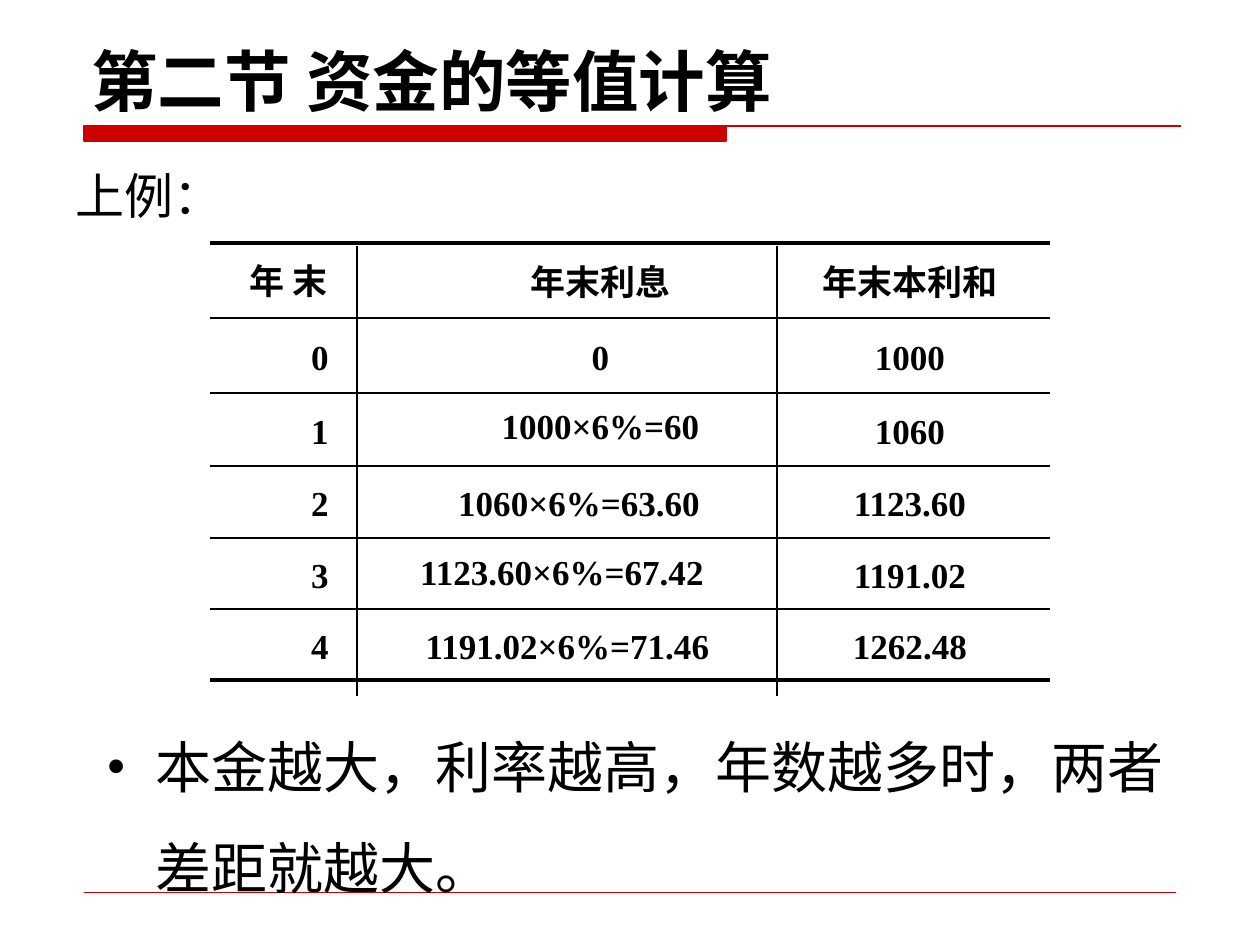
from lxml.etree import SubElement
from pptx import Presentation
from pptx.dml.color import RGBColor
from pptx.enum.shapes import MSO_CONNECTOR
from pptx.enum.text import MSO_ANCHOR, PP_ALIGN
from pptx.oxml.ns import qn
from pptx.util import Emu, Pt

RED = RGBColor(0xCC, 0x00, 0x00)
BLACK = RGBColor(0x00, 0x00, 0x00)
SANS = "Noto Sans CJK SC"
SERIF = "Times New Roman"
SCALE = 914400 / 126


def px(num):
    return Emu(round(num * SCALE))


class Page:
    """Holds the style and the current slide; lengths are in px."""

    def __init__(self, deck):
        self.slide = deck.slides.add_slide(deck.slide_layouts[6])
        self.shapes = self.slide.shapes

    def text(self, words, left, top, width, height, size, face=SANS, bold=False,
             align=PP_ALIGN.LEFT, anchor=MSO_ANCHOR.BOTTOM, bullet=None):
        box = self.shapes.add_textbox(px(left), px(top), px(width), px(height))
        frame = box.text_frame
        frame.word_wrap = True
        frame.vertical_anchor = anchor
        para = frame.paragraphs[0]
        para.text = words
        para.alignment = align
        if bullet:
            self.mark(para, bullet)
        font = para.font
        font.size = Pt(size)
        font.bold = bold
        font.color.rgb = BLACK
        font.name = face
        props = para._p.get_or_add_pPr().find(qn("a:defRPr"))
        SubElement(props, qn("a:ea")).set("typeface", SANS)

    def mark(self, para, sign):
        para.line_spacing = 1.5
        props = para._p.get_or_add_pPr()
        props.set("marL", str(px(48)))
        props.set("indent", str(-px(48)))
        SubElement(props, qn("a:buSzPct")).set("val", "90000")
        SubElement(props, qn("a:buFont")).set("typeface", "Arial")
        SubElement(props, qn("a:buChar")).set("char", sign)

    def cell(self, words, left, top, width, height):
        self.text(words, left, top, width, height, 20, SERIF, True,
                  PP_ALIGN.CENTER, MSO_ANCHOR.MIDDLE)

    def line(self, x1, y1, x2, y2, weight=1.0, color=BLACK):
        rule = self.shapes.add_connector(
            MSO_CONNECTOR.STRAIGHT, px(x1), px(y1), px(x2), px(y2))
        rule.line.color.rgb = color
        rule.line.width = Pt(weight)
        SubElement(rule._element.spPr, qn("a:effectLst"))

    def banner(self, left, top, right, thick, edge):
        pen = self.shapes.build_freeform(left, top, scale=SCALE)
        low = top + thick
        pen.add_line_segments([(edge, top), (edge, low), (left, low)], close=True)
        pen.move_to(left, top)
        pen.add_line_segments([(right, top)], close=False)
        shape = pen.convert_to_shape()
        shape.shadow.inherit = False
        shape.fill.solid()
        shape.fill.fore_color.rgb = RED
        shape.line.color.rgb = RED
        shape.line.width = Pt(0.75)


def main():
    deck = Presentation()
    deck.slide_width, deck.slide_height = px(1260), px(945)
    page = Page(deck)

    # Red rules of the theme
    page.banner(84, 126, 1181, 15, 726)
    page.line(84, 892, 1176, 892, 0.25, RED)

    # Title, lead and closing point
    page.text("第二节 资金的等值计算", 79, 0, 1103, 126, 38, bold=True)
    page.text("上例：", 63, 158, 180, 73, 28)
    page.text("本金越大，利率越高，年数越多时，两者差距就越大。",
              95, 693, 1087, 189, 32, anchor=MSO_ANCHOR.TOP, bullet="•")

    # Grid text: year, interest with its box (left, top shift, width), sum
    tops = [243, 318, 393, 466, 538, 609, 680]
    rows = [
        ("年 末", "年末利息", 431, 0, 339, "年末本利和"),
        ("0", "0", 431, 0, 339, "1000"),
        ("1", "1000×6%=60", 431, -5, 339, "1060"),
        ("2", "1060×6%=63.60", 388, 0, 382, "1123.60"),
        ("3", "1123.60×6%=67.42", 336, -3, 452, "1191.02"),
        ("4", "1191.02×6%=71.46", 347, 0, 441, "1262.48"),
    ]
    for num, (year, gain, left, shift, width, total) in enumerate(rows):
        top = tops[num]
        tall = tops[num + 1] - top + 2
        head = num == 0
        page.cell(year, 179 if head else 210, top - 1 if head else top, 220, tall)
        page.cell(gain, left, top + shift, width, tall)
        page.cell(total, 770, top, 280, tall)

    # Grid lines: heavy at top and bottom
    for top in tops:
        page.line(210, top, 1050, top, 2.25 if top in (tops[0], tops[-1]) else 1)
    for left in (357, 777):
        page.line(left, 246, left, 696)

    deck.save("out.pptx")


if __name__ == "__main__":
    main()
